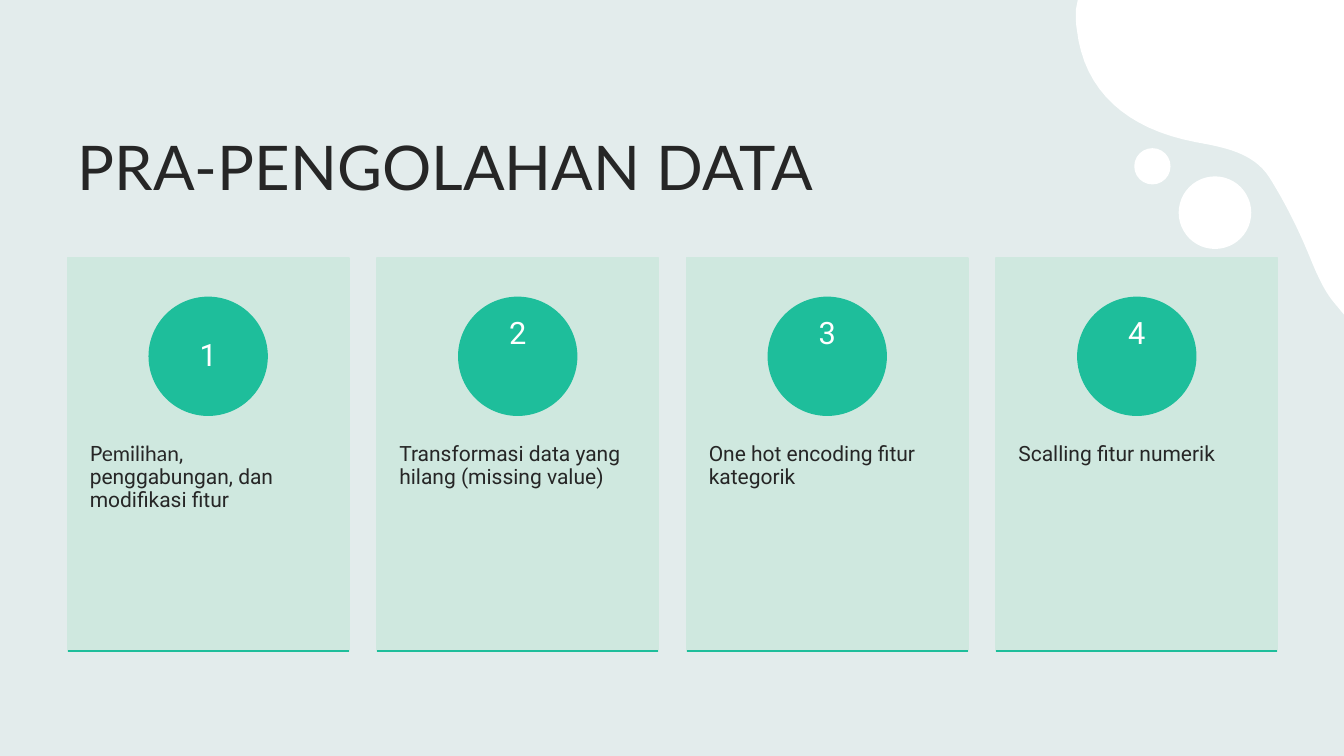
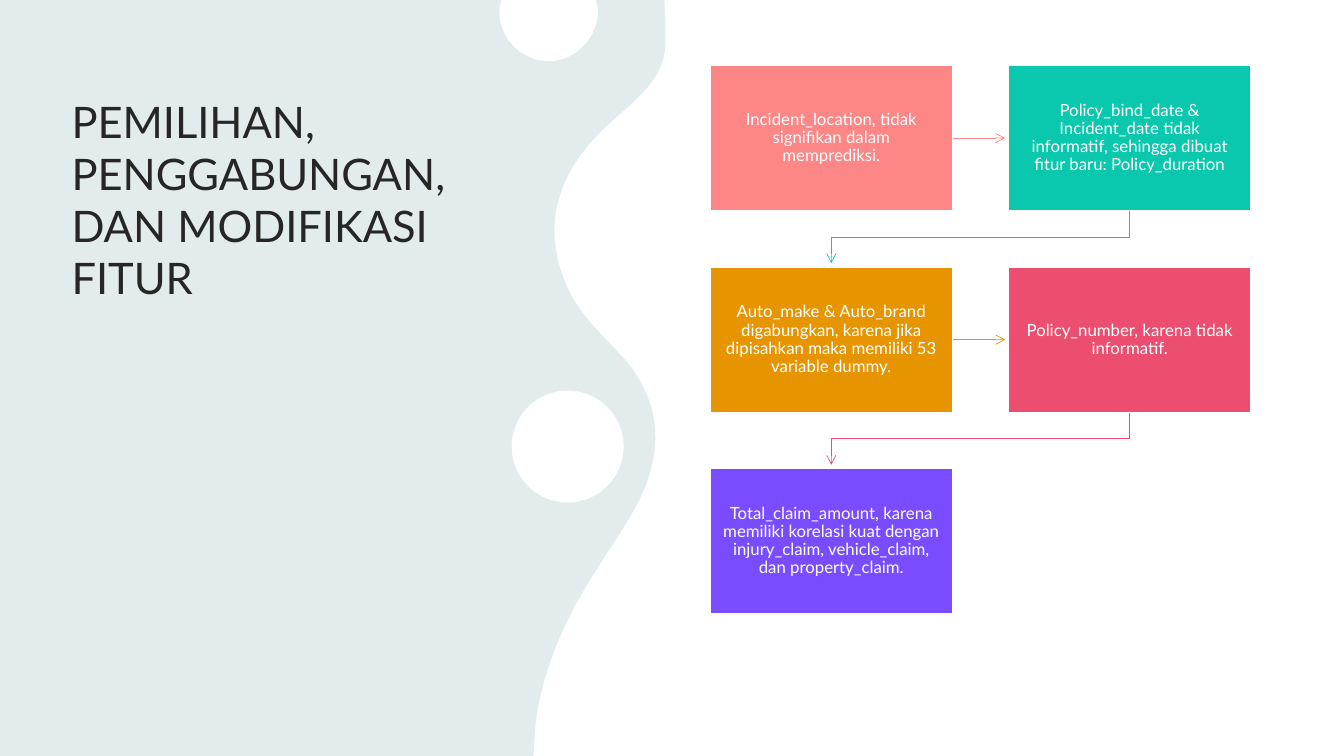
from dataclasses import dataclass

from lxml import etree
from pptx import Presentation
from pptx.dml.color import RGBColor
from pptx.enum.shapes import MSO_CONNECTOR, MSO_SHAPE
from pptx.enum.text import MSO_ANCHOR, MSO_AUTO_SIZE, PP_ALIGN
from pptx.oxml.ns import qn
from pptx.presentation import Presentation as Deck
from pptx.shapes.autoshape import Shape
from pptx.shapes.connector import Connector
from pptx.slide import Slide
from pptx.util import Inches, Pt

RECT, OVAL = MSO_SHAPE.RECTANGLE, MSO_SHAPE.OVAL
STRAIGHT, ELBOW = MSO_CONNECTOR.STRAIGHT, MSO_CONNECTOR.ELBOW
TOP, MIDDLE, BOTTOM = MSO_ANCHOR.TOP, MSO_ANCHOR.MIDDLE, MSO_ANCHOR.BOTTOM
LEFT, CENTER = PP_ALIGN.LEFT, PP_ALIGN.CENTER
NO_FIT = MSO_AUTO_SIZE.NONE

MIST = RGBColor(0xE3, 0xEC, 0xEC)
WHITE = RGBColor(0xFF, 0xFF, 0xFF)
INK = RGBColor(0x26, 0x26, 0x26)
MINT = RGBColor(0xCF, 0xE8, 0xDF)
GREEN = RGBColor(0x1E, 0xBE, 0x9B)
CORAL = RGBColor(0xFD, 0x86, 0x86)
TEAL = RGBColor(0x0A, 0xC8, 0xAD)
AMBER = RGBColor(0xE6, 0x95, 0x00)
ROSE = RGBColor(0xEC, 0x4E, 0x70)
VIOLET = RGBColor(0x79, 0x4D, 0xFF)

HEAD, BODY = "Lato", "Roboto"
CURVE_STEPS = 16

Box = tuple[float, float, float, float]
Point = tuple[float, float]
Path = list[tuple[float, ...]]


@dataclass(frozen=True)
class Run:
    text: str
    font: str


@dataclass(frozen=True)
class Style:
    size: float
    color: RGBColor
    align: PP_ALIGN
    anchor: MSO_ANCHOR
    inset: Box


@dataclass(frozen=True)
class Card:
    number: str
    runs: list[Run]
    lift: float = 0.44


@dataclass(frozen=True)
class Step:
    text: str
    color: RGBColor


CARDS = [
    Card("1", [Run("Pemilihan", HEAD), Run(", penggabungan, dan modifikasi fitur", BODY)], 0),
    Card("2", [Run("Transformasi data yang hilang (missing value)", BODY)]),
    Card("3", [Run("One hot encoding fitur kategorik", BODY)]),
    Card("4", [Run("Scalling fitur numerik", BODY)]),
]

STEPS = [
    Step("Incident_location, tidak signifikan dalam memprediksi.", CORAL),
    Step("Policy_bind_date & Incident_date tidak informatif, sehingga dibuat "
         "fitur baru: Policy_duration", TEAL),
    Step("Auto_make & Auto_brand digabungkan, karena jika dipisahkan maka "
         "memiliki 53 variable dummy.", AMBER),
    Step("Policy_number, karena tidak informatif.", ROSE),
    Step("Total_claim_amount, karena memiliki korelasi kuat dengan injury_claim, "
         "vehicle_claim, dan property_claim.", VIOLET),
]

CORNER: Path = [
    (13.33, 0), (10.69, 0), (10.67, 0.1),
    (10.67, 0.16, 10.67, 0.23, 10.68, 0.29),
    (10.75, 0.91, 11.18, 1.28, 11.86, 1.41),
    (12.13, 1.46, 12.43, 1.51, 12.59, 1.76),
    (12.76, 2.03, 12.9, 2.32, 13.02, 2.62),
    (13.08, 2.76, 13.14, 2.89, 13.23, 3), (13.33, 3.12),
]

WAVE: Path = [
    (13.33, 0), (13.33, 7.5), (5.29, 7.5), (5.3, 7.34),
    (5.32, 6.96, 5.43, 6.58, 5.61, 6.2),
    (5.79, 5.81, 6.06, 5.45, 6.28, 5.08),
    (6.59, 4.54, 6.61, 3.96, 6.1, 3.46),
    (5.92, 3.27, 5.72, 3.07, 5.62, 2.83),
    (5.35, 2.22, 5.54, 1.65, 6.11, 1.17),
    (6.33, 0.97, 6.58, 0.78, 6.6, 0.46),
    (6.6, 0.37, 6.6, 0.29, 6.6, 0.2), (6.59, 0),
]

DROP: Path = [
    (4.97, 0), (5.91, 0), (5.93, 0.09),
    (5.94, 0.31, 5.79, 0.52, 5.57, 0.59),
    (5.31, 0.66, 5.04, 0.5, 4.97, 0.24),
    (4.95, 0.18, 4.95, 0.11, 4.96, 0.05),
]


def trace(path: Path) -> list[Point]:
    points: list[Point] = []
    for part in path:
        if len(part) == 2:
            points.append(part)
            continue
        ends = [points[-1], part[:2], part[2:4], part[4:]]
        for i in range(1, CURVE_STEPS + 1):
            t = i / CURVE_STEPS
            u = 1 - t
            mix = (u ** 3, 3 * u * u * t, 3 * u * t * t, t ** 3)
            points.append(tuple(sum(m * end[k] for m, end in zip(mix, ends)) for k in (0, 1)))
    return points


def paint(shape: Shape, fill: RGBColor, edge: RGBColor | None = None) -> None:
    shape.shadow.inherit = False
    shape.fill.solid()
    shape.fill.fore_color.rgb = fill
    if edge is None:
        shape.line.fill.background()
    else:
        shape.line.color.rgb = edge
        shape.line.width = Pt(1)


def add_blob(slide: Slide, path: Path) -> None:
    points = [(Inches(x), Inches(y)) for x, y in trace(path)]
    pen = slide.shapes.build_freeform(*points[0])
    pen.add_line_segments(points[1:], close=True)
    paint(pen.convert_to_shape(), WHITE)


def add_shape(slide: Slide, kind: MSO_SHAPE, box: Box, fill: RGBColor,
              edge: RGBColor | None = None) -> Shape:
    shape = slide.shapes.add_shape(kind, *map(Inches, box))
    paint(shape, fill, edge)
    return shape


def add_dot(slide: Slide, x: float, y: float, size: float) -> None:
    add_shape(slide, OVAL, (x - size / 2, y - size / 2, size, size), WHITE)


def write(shape: Shape, runs: list[Run], style: Style, spacing: float = 0.9) -> None:
    frame = shape.text_frame
    frame.word_wrap = True
    frame.auto_size = NO_FIT
    frame.vertical_anchor = style.anchor
    (frame.margin_left, frame.margin_top,
     frame.margin_right, frame.margin_bottom) = map(Inches, style.inset)
    para = frame.paragraphs[0]
    para.alignment = style.align
    para.line_spacing = spacing
    for part in runs:
        run = para.add_run()
        run.text = part.text
        run.font.name = part.font
        run.font.size = Pt(style.size)
        run.font.color.rgb = style.color


def set_title(slide: Slide, text: str, box: Box, size: float, anchor: MSO_ANCHOR) -> None:
    title = slide.shapes.title
    title.left, title.top, title.width, title.height = map(Inches, box)
    style = Style(size, INK, LEFT, anchor, (0.1, 0.05, 0.1, 0.05))
    write(title, [Run(text, HEAD)], style, 1.0)


def add_line(slide: Slide, kind: MSO_CONNECTOR, start: Point, end: Point,
             color: RGBColor, width: float) -> Connector:
    line = slide.shapes.add_connector(kind, *map(Inches, (*start, *end)))
    line.line.color.rgb = color
    line.line.width = Pt(width)
    etree.SubElement(line._element.spPr, qn("a:effectLst"))
    return line


def add_arrow(slide: Slide, start: Point, end: Point, color: RGBColor) -> None:
    (x1, y1), (x2, y2) = start, end
    bent = y1 != y2
    if bent:
        x, y = (x1 + x2) / 2, (y1 + y2) / 2
        half, rise = (x1 - x2) / 2, (y2 - y1) / 2
        start, end = (x - rise, y - half), (x + rise, y + half)
    line = add_line(slide, ELBOW if bent else STRAIGHT, start, end, color, 0.5)
    if bent:
        line._element.spPr.find(qn("a:xfrm")).set("rot", "5400000")
    etree.SubElement(line.line._get_or_add_ln(), qn("a:tailEnd"), type="arrow")


def add_card(slide: Slide, index: int, card: Card) -> None:
    left, top, width, height, disc = 0.67 + 3.07 * index, 2.56, 2.79, 3.9, 1.17
    panel = add_shape(slide, RECT, (left, top, width, height), MINT, MINT)
    write(panel, card.runs, Style(15, INK, LEFT, TOP, (0.22, 1.84, 0.22, 0.36)))
    badge = add_shape(slide, OVAL, (left + (width - disc) / 2, 2.95, disc, disc), GREEN, GREEN)
    style = Style(22, WHITE, CENTER, MIDDLE, (0.09, 0.01, 0.09, 0.01 + card.lift))
    write(badge, [Run(card.number, BODY)], style)
    base = top + height
    add_line(slide, STRAIGHT, (left, base), (left + width, base), GREEN, 1)


def add_step(slide: Slide, index: int, step: Step, last: bool) -> None:
    row, col = divmod(index, 2)
    pitch, width, height, reach = 2.96, 2.41, 1.44, 0.52
    left, top = 7.04 + pitch * col, 0.65 + 2 * row
    if not last and col == 0:
        edge, mid = left + width, top + height / 2
        add_arrow(slide, (edge, mid), (edge + reach, mid), step.color)
    elif not last:
        mid, base = left + width / 2, top + height
        add_arrow(slide, (mid, base), (mid - pitch, base + reach), step.color)
    box = add_shape(slide, RECT, (left, top, width, height), step.color, WHITE)
    style = Style(12, WHITE, CENTER, MIDDLE, (0.12, 0.12, 0.12, 0.12))
    write(box, [Run(step.text, HEAD)], style)


def new_slide(deck: Deck) -> Slide:
    return deck.slides.add_slide(deck.slide_layouts[5])


def build_cards(deck: Deck) -> None:
    slide = new_slide(deck)
    add_blob(slide, CORNER)
    add_dot(slide, 12.05, 2.11, 0.72)
    add_dot(slide, 11.43, 1.65, 0.36)
    set_title(slide, "PRA-PENGOLAHAN DATA", (0.67, 0.61, 12, 1.45), 44, BOTTOM)
    for index, card in enumerate(CARDS):
        add_card(slide, index, card)


def build_flow(deck: Deck) -> None:
    slide = new_slide(deck)
    add_blob(slide, WAVE)
    add_blob(slide, DROP)
    add_dot(slide, 5.63, 4.43, 1.11)
    set_title(slide, "PEMILIHAN, PENGGABUNGAN, DAN MODIFIKASI FITUR",
              (0.61, 0.89, 4.05, 5.92), 31, TOP)
    for index, step in enumerate(STEPS):
        add_step(slide, index, step, index == len(STEPS) - 1)


def main() -> None:
    deck = Presentation()
    deck.slide_width, deck.slide_height = Inches(13.33), Inches(7.5)
    back = deck.slide_master.background.fill
    back.solid()
    back.fore_color.rgb = MIST
    build_cards(deck)
    build_flow(deck)
    deck.save("out.pptx")


if __name__ == "__main__":
    main()
